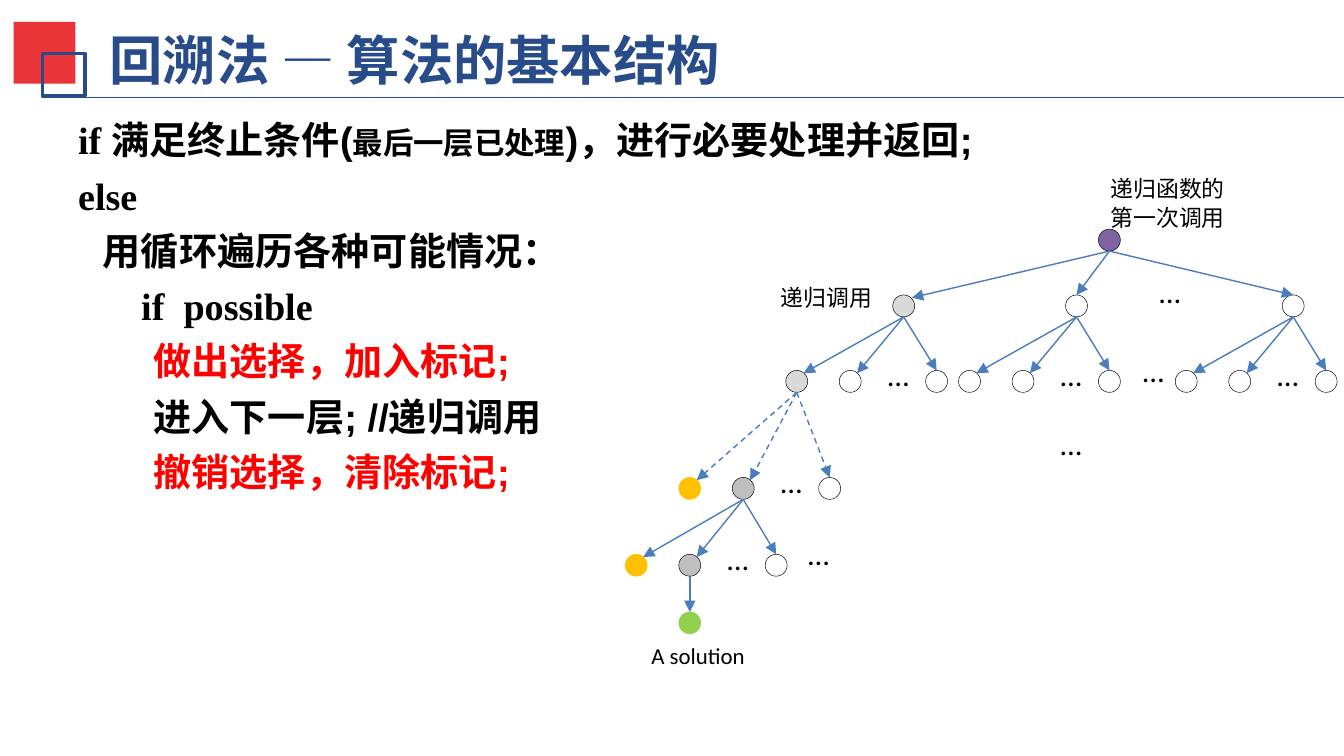
"""Build the slide on the basic structure of backtracking."""
from lxml import etree
from pptx import Presentation
from pptx.dml.color import RGBColor
from pptx.enum.dml import MSO_LINE
from pptx.enum.shapes import MSO_CONNECTOR, MSO_SHAPE
from pptx.enum.text import MSO_ANCHOR, PP_ALIGN
from pptx.oxml.ns import qn
from pptx.util import Inches, Pt

RECTANGLE = MSO_SHAPE.RECTANGLE
OVAL = MSO_SHAPE.OVAL
STRAIGHT = MSO_CONNECTOR.STRAIGHT
DASH = MSO_LINE.DASH
TOP = MSO_ANCHOR.TOP
MIDDLE = MSO_ANCHOR.MIDDLE
LEFT = PP_ALIGN.LEFT
CENTER = PP_ALIGN.CENTER

NAVY, RED, BLACK, BLUE = "284C8A", "E93538", "000000", "4B7EBC"
BRIGHT_RED = "FF0000"
PURPLE, PALE_GRAY, GRAY = "8064A2", "D9D9D9", "BFBFBF"
AMBER, GREEN = "FFC000", "92D050"
SERIF, SANS, LABEL = "Times New Roman", "Arial", "Calibri"

DIAMETER = 0.16
RADIUS = DIAMETER / 2
CHILD_OFFSETS = (-0.78, -0.39, 0.24)
LEVELS = (1.75, 2.23, 2.78, 3.56, 4.12, 4.54)
ROOT_X = 8.09
BRANCHES = (6.59, 7.85, 9.43)

PSEUDOCODE = [
    (0.07, [("if ", {"font": SERIF}), ("满足终止条件(", {}),
            ("最后一层已处理", {"size": 16}), (")，进行必要处理并返回;", {})]),
    (0.07, [("else", {"font": SERIF})]),
    (0.25, [("用循环遍历各种可能情况：", {})]),
    (0.53, [("if  possible", {"font": SERIF})]),
    (0.62, [("做出选择，加入标记;", {"color": BRIGHT_RED})]),
    (0.62, [("进入下一层; //递归调用", {})]),
    (0.62, [("撤销选择，清除标记;", {"color": BRIGHT_RED})]),
]


def rgb(value):
    """Turn a hex string into a colour."""
    return RGBColor.from_string(value)


def add_text(paragraph, text, font=SANS, size=20, color=BLACK, bold=True):
    """Append a formatted run to a paragraph."""
    run = paragraph.add_run()
    run.text = text
    run.font.name = font
    run.font.size = Pt(size)
    run.font.bold = bold
    run.font.color.rgb = rgb(color)


class SlideBuilder:
    """Draw styled elements on one slide."""

    def __init__(self, slide):
        """Start on the top level of the slide."""
        self.slide = slide
        self.shapes = slide.shapes

    def start_group(self):
        """Put everything that follows in a new group."""
        self.shapes = self.slide.shapes.add_group_shape().shapes

    def shape(self, kind, box, fill=None, line=None, width=0.25):
        """Add a preset shape."""
        shape = self.shapes.add_shape(kind, *map(Inches, box))
        shape.shadow.inherit = False
        if fill:
            shape.fill.solid()
            shape.fill.fore_color.rgb = rgb(fill)
        else:
            shape.fill.background()
        if line:
            shape.line.color.rgb = rgb(line)
            shape.line.width = Pt(width)
        else:
            shape.line.fill.background()

    def line(self, start, end, color=BLUE, arrow=True, dashed=False):
        """Add a straight line or arrow."""
        connector = self.shapes.add_connector(
            STRAIGHT, *map(Inches, (*start, *end)))
        connector.line.color.rgb = rgb(color)
        connector.line.width = Pt(0.75)
        if dashed:
            connector.line.dash_style = DASH
        if arrow:
            etree.SubElement(connector.line._get_or_add_ln(),
                             qn("a:tailEnd"), type="triangle")
        etree.SubElement(connector._element.spPr, qn("a:effectLst"))

    def text_frame(self, box, margins=(0, 0), anchor=TOP):
        """Add a wrapping text box and return its frame."""
        frame = self.shapes.add_textbox(*map(Inches, box)).text_frame
        frame.word_wrap = True
        frame.vertical_anchor = anchor
        frame.margin_left = frame.margin_right = Inches(margins[0])
        frame.margin_top = frame.margin_bottom = Inches(margins[1])
        return frame

    def paragraphs(self, frame, rows, align=LEFT, space=0, leading=None):
        """Fill a frame with rows of an indent and formatted runs."""
        for index, (indent, runs) in enumerate(rows):
            paragraph = frame.add_paragraph() if index else frame.paragraphs[0]
            properties = paragraph._p.get_or_add_pPr()
            properties.set("marL", str(Inches(indent)))
            properties.set("indent", "0")
            paragraph.alignment = align
            paragraph.space_before = Pt(space if index else 0)
            if leading:
                paragraph.line_spacing = Pt(leading)
            for text, style in runs:
                add_text(paragraph, text, **style)

    def label(self, box, *lines, size=12, leading=15):
        """Add a centred label."""
        style = {"font": LABEL, "size": size, "bold": False}
        rows = [(0, [(text, style)]) for text in lines]
        self.paragraphs(self.text_frame(box, anchor=MIDDLE), rows,
                        align=CENTER, leading=leading)

    def ellipsis(self, x, y):
        """Add dots centred on a point."""
        self.label((x - 0.12, y - 0.08, 0.24, 0.16), "…", size=16)

    def node(self, x, y, fill=None):
        """Add a tree node centred on a point."""
        line = fill if fill in (AMBER, GREEN) else BLACK
        self.shape(OVAL, (x - RADIUS, y - RADIUS, DIAMETER, DIAMETER),
                   fill, line)

    def family(self, x, level, fills=(None, None, None), dashed=False):
        """Add the children of a node, with their arrows and dots."""
        start = (x, LEVELS[level] + RADIUS)
        y = LEVELS[level + 1]
        tips = ((0.05, -0.06), (0.05, -0.06), (0, -RADIUS))
        for offset, fill, (tip_x, tip_y) in zip(CHILD_OFFSETS, fills, tips):
            self.node(x + offset, y, fill)
            self.line(start, (x + offset + tip_x, y + tip_y), dashed=dashed)
        self.ellipsis(x - 0.04, y - 0.02)


def draw_heading(builder):
    """Draw the title and its ornament."""
    frame = builder.text_frame((0.73, 0.16, 6.91, 0.55), (0.07, 0.04))
    style = {"font": SERIF, "size": 28, "color": NAVY}
    builder.paragraphs(frame, [(0, [("回溯法 — 算法的基本结构", style)])])
    builder.shape(RECTANGLE, (0.1, 0.16, 0.45, 0.45), fill=RED)
    builder.shape(RECTANGLE, (0.31, 0.39, 0.31, 0.31), line=NAVY, width=2)
    builder.line((0.38, 0.71), (9.8, 0.71), color=NAVY, arrow=False)


def draw_tree(builder):
    """Draw the recursion tree."""
    builder.start_group()
    builder.node(ROOT_X, LEVELS[0], PURPLE)
    tips = ((0.06, -0.06), (0, -RADIUS), (0, -RADIUS))
    for x, fill, (tip_x, tip_y) in zip(BRANCHES, (PALE_GRAY, None, None), tips):
        builder.node(x, LEVELS[1], fill)
        builder.line((ROOT_X, LEVELS[0] + RADIUS),
                     (x + tip_x, LEVELS[1] + tip_y))
        builder.family(x, 1, (fill, None, None))
    third_x = BRANCHES[0] + CHILD_OFFSETS[0]
    fourth_x = third_x + CHILD_OFFSETS[1]
    solution_x = fourth_x + CHILD_OFFSETS[1]
    builder.family(third_x, 2, (AMBER, GRAY, None), dashed=True)
    builder.family(fourth_x, 3, (AMBER, GRAY, None))
    builder.line((solution_x, LEVELS[4] + RADIUS),
                 (solution_x, LEVELS[5] - RADIUS))
    builder.node(solution_x, LEVELS[5], GREEN)
    for x, y in ((8.53, 2.15), (8.41, 2.73), (7.81, 3.26), (5.97, 4.06)):
        builder.ellipsis(x, y)
    builder.label((7.92, 1.23, 1.19, 0.49), "递归函数的", "第一次调用")
    builder.label((5.56, 2.02, 0.93, 0.29), "递归调用")
    builder.label((4.58, 4.59, 1.02, 0.37), "A solution", leading=None)


def main():
    """Build and save the presentation."""
    presentation = Presentation()
    presentation.slide_width = Inches(9.8)
    presentation.slide_height = Inches(5.51)
    slide = presentation.slides.add_slide(presentation.slide_layouts[6])
    builder = SlideBuilder(slide)
    draw_heading(builder)
    frame = builder.text_frame((0.41, 0.81, 7.64, 4.15), (0.09, 0.04))
    builder.paragraphs(frame, PSEUDOCODE, space=5)
    draw_tree(builder)
    presentation.save("out.pptx")


if __name__ == "__main__":
    main()
